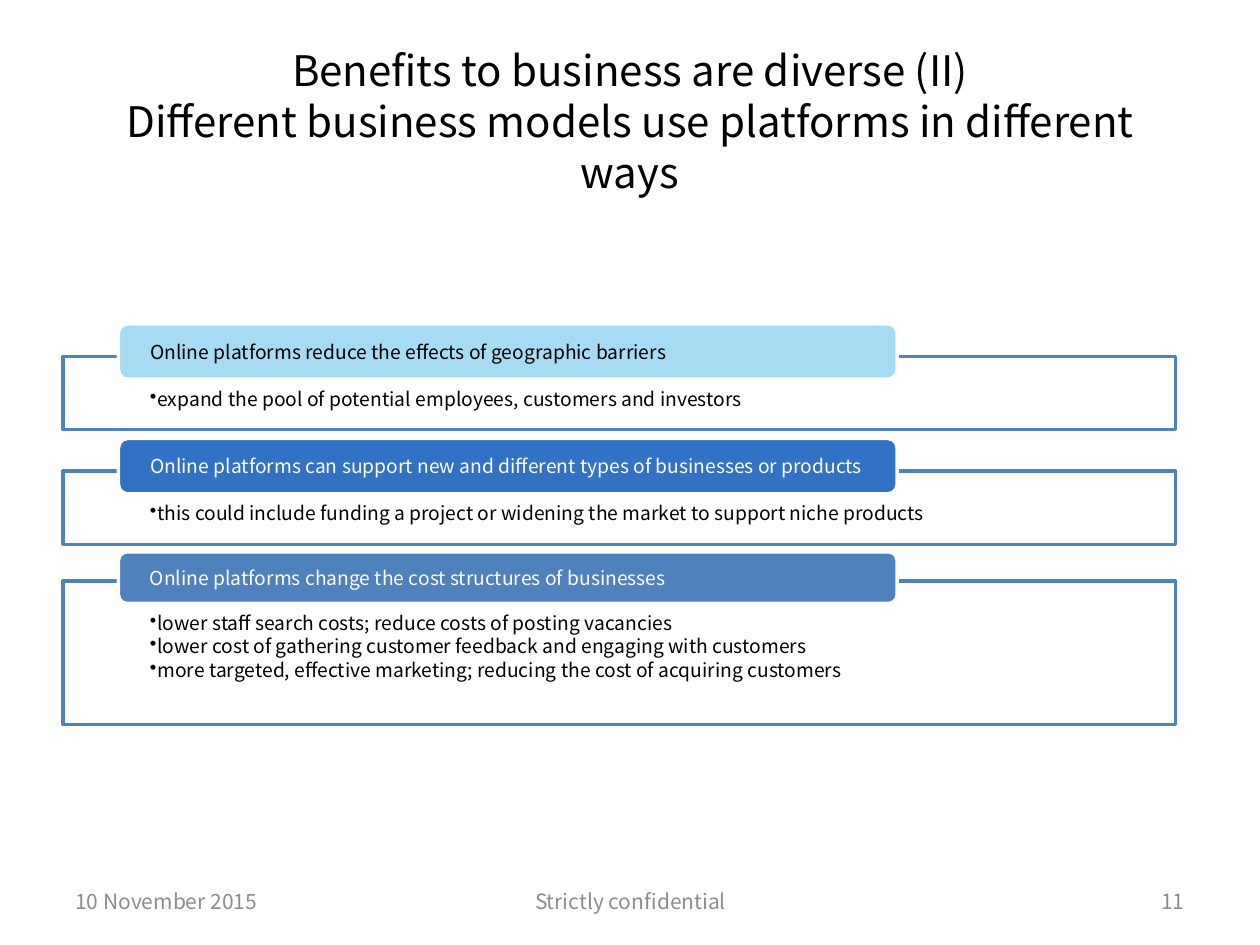
import pptx
import pptx.util
import pptx.dml.color
import pptx.enum.shapes
import pptx.enum.text
import lxml.etree
from dataclasses import dataclass

Inches = pptx.util.Inches
Pt = pptx.util.Pt
RGB = pptx.dml.color.RGBColor.from_string
Align = pptx.enum.text.PP_ALIGN
Anchor = pptx.enum.text.MSO_ANCHOR
Shape = pptx.enum.shapes.MSO_SHAPE

TITLE = ("Benefits to business are diverse (II)\v"
         "Different business models use platforms in different ways")
FOOTERS = [
    ("10 November 2015", 0.5, 2.33, Align.LEFT),
    ("Strictly confidential", 3.42, 3.17, Align.CENTER),
    ("11", 7.17, 2.33, Align.RIGHT),
]
BENEFITS = [
    dict(heading="Online platforms reduce the effects of geographic barriers",
         fill="A7DAF3", color="000000", top=2.57, tab=0.44, frame=0.58,
         points=["expand the pool of potential employees, customers and investors"]),
    dict(heading="Online platforms can support new and different types of businesses or products",
         fill="3172C4", color="FFFFFF", top=3.48, tab=0.44, frame=0.58,
         points=["this could include funding a project or widening the market to support niche products"]),
    dict(heading="Online platforms change the cost structures of businesses",
         fill="4F81BD", color="FFFFFF", top=4.38, tab=0.41, frame=1.14,
         points=["lower staff search costs; reduce costs of posting vacancies",
                 "lower cost of gathering customer feedback and engaging with customers",
                 "more targeted, effective marketing; reducing the cost of acquiring customers"]),
]


@dataclass
class Theme:
    font: str = "Noto Sans CJK KR"
    black: str = "000000"
    white: str = "FFFFFF"
    grey: str = "8C8C8C"
    blue: str = "4F81BD"
    title: int = 24
    body: int = 11
    footer: int = 12


theme = Theme()
prs = pptx.Presentation()
prs.slide_width, prs.slide_height = Inches(10), Inches(7.5)
s = prs.slides.add_slide(prs.slide_layouts[6])


def write(sp, lines, size, color, align=Align.LEFT, anchor=Anchor.MIDDLE,
          margins=(0.1, 0.05, 0.1, 0.05), spacing=None, after=0):
    tf = sp.text_frame
    tf.word_wrap = True
    tf.vertical_anchor = anchor
    tf.margin_left, tf.margin_top, tf.margin_right, tf.margin_bottom = map(Inches, margins)
    tf.text = "\n".join(lines)
    for p in tf.paragraphs:
        p.alignment = align
        p.space_after = Pt(after)
        if spacing:
            p.line_spacing = Pt(spacing)
        for r in p.runs:
            r.font.name = theme.font
            r.font.size = Pt(size)
            r.font.color.rgb = RGB(color)
    return tf


def add_text(box, *args, **kwargs):
    return write(s.shapes.add_textbox(*map(Inches, box)), *args, **kwargs)


def add_panel(kind, box, fill, line):
    sp = s.shapes.add_shape(kind, *map(Inches, box))
    sp.shadow.inherit = False
    sp.fill.solid()
    sp.fill.fore_color.rgb = RGB(fill)
    sp.line.color.rgb = RGB(line)
    sp.line.width = Pt(2)
    return sp


def add_bullet(p):
    pPr = p._p.get_or_add_pPr()
    pPr.set("marL", str(Inches(0.06)))
    pPr.set("indent", str(-Inches(0.06)))
    bullet = lxml.etree.SubElement(pPr, pptx.oxml.ns.qn("a:buChar"))
    bullet.set("char", "•")


add_text((0.5, 0.33, 9, 1.25), [TITLE], theme.title, theme.black,
         align=Align.CENTER, spacing=29)

for text, left, width, align in FOOTERS:
    add_text((left, 6.95, width, 0.4), [text], theme.footer, theme.grey, align=align)

for b in BENEFITS:
    frame_top = b["top"] + b["tab"] - 0.18
    frame = add_panel(Shape.RECTANGLE, (0.5, frame_top, 8.83, b["frame"]), theme.white, theme.blue)
    tf = write(frame, b["points"], theme.body, theme.black, anchor=Anchor.TOP,
               margins=(0.69, 0.26, 0.69, 0.09), spacing=11.8, after=1.65)
    for p in tf.paragraphs:
        add_bullet(p)
    tab = add_panel(Shape.ROUNDED_RECTANGLE, (0.94, b["top"], 6.18, b["tab"]), b["fill"], theme.white)
    write(tab, [b["heading"]], theme.body, b["color"],
          margins=(0.23, 0.02, 0.23, 0), spacing=11.8)

prs.save("out.pptx")
